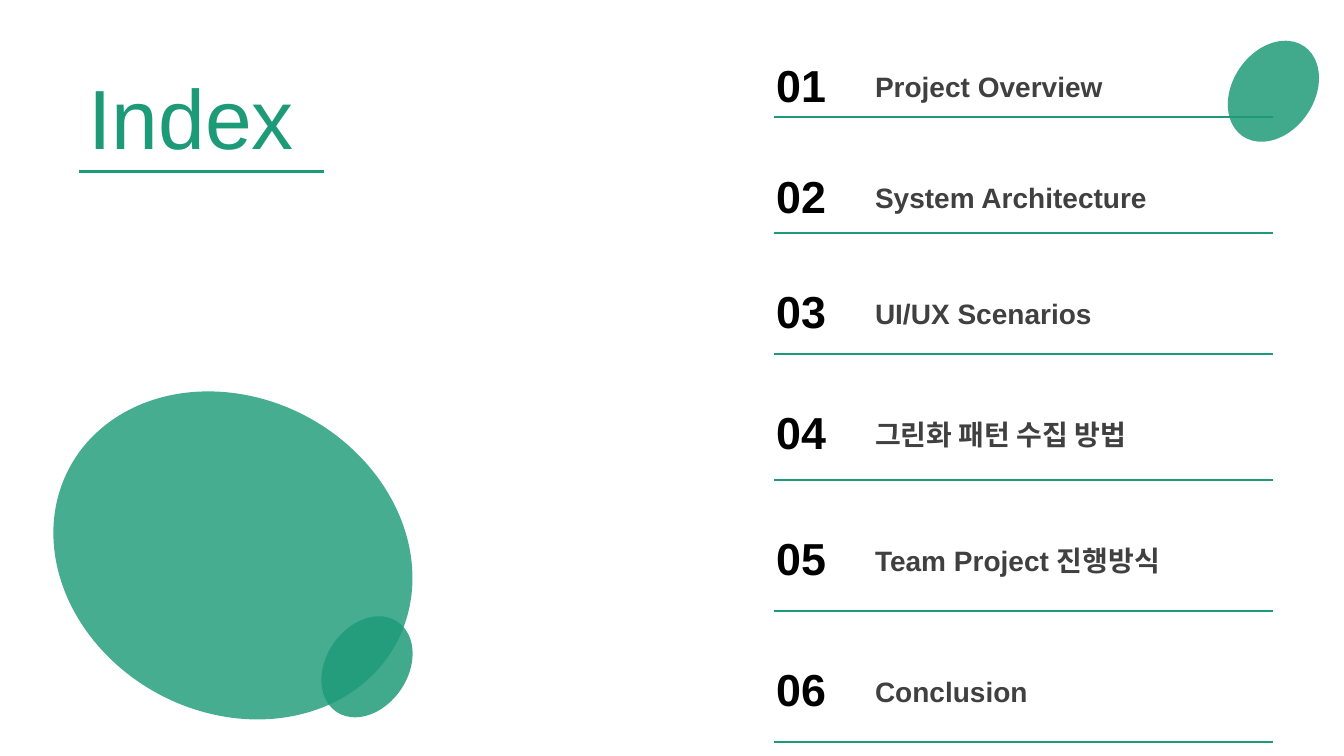
import lxml.etree
import pptx
import pptx.dml.color
import pptx.enum.shapes
import pptx.enum.text
import pptx.oxml.ns
import pptx.util
from dataclasses import dataclass


@dataclass(frozen=True)
class Theme:
    """Colours, font and type sizes of the slide."""
    green: str = "1D9A78"
    grey: str = "404040"
    black: str = "000000"
    font: str = "Arial"
    title_size: float = 60
    number_size: float = 32
    topic_size: float = 20
    rule_width: float = 1.75


THEME = Theme()
SLIDE_WIDTH, SLIDE_HEIGHT = 13.33, 7.5
TOPICS = [
    "Project Overview",
    "System Architecture",
    "UI/UX Scenarios",
    "그린화 패턴 수집 방법",
    "Team Project 진행방식",
    "Conclusion",
]


def inches(*lengths):
    """Convert lengths in inches to slide units."""
    return [pptx.util.Inches(length) for length in lengths]


def rgb(colour):
    """Turn a hex string into a colour."""
    return pptx.dml.color.RGBColor.from_string(colour)


def add_text(slide, box, text, *, size, colour, bold=False, spacing=None, inset_top=0.05):
    """Place one line of formatted text in a box."""
    frame = slide.shapes.add_textbox(*inches(*box)).text_frame
    frame.word_wrap = True
    frame.vertical_anchor = pptx.enum.text.MSO_ANCHOR.TOP
    frame.margin_top = pptx.util.Inches(inset_top)
    paragraph = frame.paragraphs[0]
    if spacing:
        paragraph.line_spacing = spacing
    run = paragraph.add_run()
    run.text = text
    run.font.name = THEME.font
    run.font.size = pptx.util.Pt(size)
    run.font.bold = bold
    run.font.color.rgb = rgb(colour)


def add_rule(slide, left, top, width):
    """Draw a horizontal green rule."""
    rule = slide.shapes.add_connector(
        pptx.enum.shapes.MSO_CONNECTOR.STRAIGHT, *inches(left, top, left + width, top))
    rule.line.color.rgb = rgb(THEME.green)
    rule.line.width = pptx.util.Pt(THEME.rule_width)
    properties = rule._element.spPr
    lxml.etree.SubElement(properties, pptx.oxml.ns.qn("a:effectLst"))


def add_bubble(slide, box, rotation, opacity):
    """Draw a tilted translucent green ellipse."""
    bubble = slide.shapes.add_shape(pptx.enum.shapes.MSO_SHAPE.OVAL, *inches(*box))
    bubble.rotation = rotation
    bubble.shadow.inherit = False
    bubble.line.fill.background()
    bubble.fill.solid()
    bubble.fill.fore_color.rgb = rgb(THEME.green)
    colour = bubble._element.spPr.find(".//" + pptx.oxml.ns.qn("a:srgbClr"))
    alpha = lxml.etree.SubElement(colour, pptx.oxml.ns.qn("a:alpha"))
    alpha.set("val", str(opacity * 1000))


def add_title(slide, box):
    """Place the heading and the rule below it."""
    left, top, width, height = box
    add_text(slide, (left, top, width, 0.49), "Index", size=THEME.title_size,
             colour=THEME.green, spacing=0.9, inset_top=0.12)
    add_rule(slide, left, top + height, width * 0.43)


def add_topic(slide, box, number, topic):
    """Place a numbered topic with a rule along the foot of its box."""
    left, top, width, height = box
    number_width = 0.98
    add_text(slide, (left + number_width, top + 0.12, 3.65, 0.44), topic,
             size=THEME.topic_size, colour=THEME.grey, bold=True)
    add_text(slide, (left, top, number_width, 0.64), f"{number:02d}",
             size=THEME.number_size, colour=THEME.black, bold=True)
    add_rule(slide, left + 0.08, top + height, width - 0.08)


def add_topics(slide, box):
    """Stack the topics, each row a step taller up to the tallest."""
    left, top, width, tallest = box
    row_gap = 0.46
    for index, topic in enumerate(TOPICS):
        row_height = min(0.64 + 0.05 * index, tallest)
        add_topic(slide, (left, top, width, row_height), index + 1, topic)
        top += row_height + row_gap


def add_bubbles(slide):
    """Place the two small bubbles and the large one."""
    for left, top in ((12.09, 0.5), (3.1, 6.21)):
        add_bubble(slide, (left, top, 1.08, 0.81), 304.3, 84)
    add_bubble(slide, (0.47, 3.95, 3.68, 3.12), 28.3, 81)


def main():
    """Build and save the index slide."""
    deck = pptx.Presentation()
    deck.slide_width, deck.slide_height = inches(SLIDE_WIDTH, SLIDE_HEIGHT)
    slide = deck.slides.add_slide(deck.slide_layouts[6])
    add_title(slide, (0.78, 0.64, 5.67, 1.06))
    add_topics(slide, (7.6, 0.52, 5.03, 0.84))
    add_bubbles(slide)
    deck.save("out.pptx")


if __name__ == "__main__":
    main()
